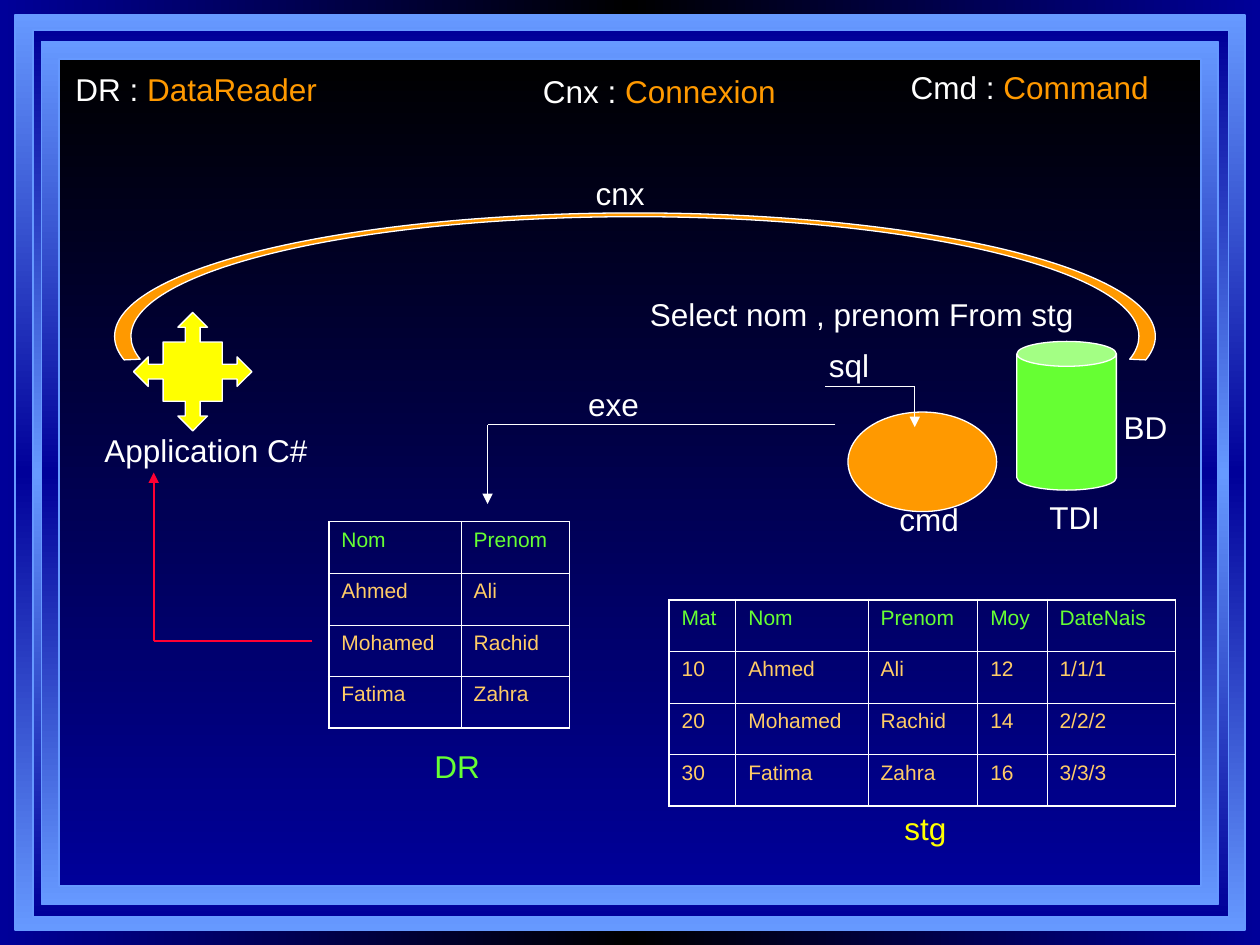
import math
from dataclasses import dataclass
from typing import NamedTuple

from lxml import etree
from pptx import Presentation
from pptx.dml.color import RGBColor
from pptx.enum import shapes, text
from pptx.oxml import ns
from pptx.util import Inches, Pt


@dataclass(frozen=True)
class Theme:
    font: str = "Arial"
    label_size: float = 18
    cell_size: float = 12
    outline: float = 0.75
    grid_inner: float = 0.45
    grid_outer: float = 1.08
    white: str = "FFFFFF"
    black: str = "000000"
    navy: str = "000099"
    sky: str = "6699FF"
    orange: str = "FF9900"
    sand: str = "FFCC66"
    green: str = "66FF33"
    yellow: str = "FFFF00"
    red: str = "FF0033"


T = Theme()


class Box(NamedTuple):
    left: float
    top: float
    width: float
    height: float


class Point(NamedTuple):
    x: float
    y: float


class Label(NamedTuple):
    words: str
    left: float
    top: float
    width: float
    color: str = T.white
    accent: str = ""


class Elbow(NamedTuple):
    start: Point
    corner: Point
    tip: Point
    color: str = T.white
    weight: float = T.outline


class Grid(NamedTuple):
    left: float
    top: float
    widths: list[float]
    rows: list[list[str]]


ROW_HEIGHT = 0.41
FRAMES = [
    (Box(0.12, 0.12, 9.76, 7.26), [T.sky, T.navy, T.sky]),
    (Box(0.26, 0.24, 9.49, 7.04), [T.navy, T.sky, T.navy]),
    (Box(0.33, 0.33, 9.34, 6.85), [T.sky, T.navy, T.sky]),
    (Box(0.47, 0.47, 9.06, 6.56), [T.black, T.navy]),
]
LABELS = [
    Label("DR : ", 0.5, 0.51, 2.18, accent="DataReader"),
    Label("Cnx : ", 4.21, 0.52, 2.12, accent="Connexion"),
    Label("Cmd : ", 7.13, 0.49, 2.16, accent="Command"),
    Label("cnx", 4.63, 1.33, 0.66),
    Label("Select nom , prenom From stg", 5.06, 2.29, 3.56),
    Label("sql", 6.48, 2.7, 0.52),
    Label("exe", 4.57, 3.01, 0.67),
    Label("BD", 8.82, 3.19, 0.61),
    Label("Application C#", 0.73, 3.37, 1.88),
    Label("TDI", 8.23, 3.9, 0.67),
    Label("cmd", 7.04, 3.92, 0.67),
    Label("DR", 3.35, 5.88, 0.56, T.green),
    Label("stg", 7.08, 6.37, 0.55, T.yellow),
]
ELBOWS = [
    Elbow(Point(6.55, 3.07), Point(7.26, 3.07), Point(7.26, 3.39)),
    Elbow(Point(6.63, 3.37), Point(3.87, 3.37), Point(3.87, 4)),
    Elbow(Point(2.48, 5.09), Point(1.22, 5.09), Point(1.22, 3.75), T.red, 1),
]
GRIDS = [
    Grid(2.61, 4.14, [1.05, 0.86],
         [["Nom", "Prenom"], ["Ahmed", "Ali"],
          ["Mohamed", "Rachid"], ["Fatima", "Zahra"]]),
    Grid(5.31, 4.76, [0.53, 1.05, 0.87, 0.55, 1.02],
         [["Mat", "Nom", "Prenom", "Moy", "DateNais"],
          ["10", "Ahmed", "Ali", "12", "1/1/1"],
          ["20", "Mohamed", "Rachid", "14", "2/2/2"],
          ["30", "Fatima", "Zahra", "16", "3/3/3"]]),
]


def rgb(color: str) -> RGBColor:
    return RGBColor.from_string(color)


def set_gradient(fill, owner, colors: list[str], angle: float) -> None:
    """Spread the colors evenly along a linear gradient."""
    fill.gradient()
    fill.gradient_angle = angle
    stops = owner.find(".//" + ns.qn("a:gsLst"))
    for old in list(stops):
        stops.remove(old)
    for i, color in enumerate(colors):
        stop = etree.SubElement(stops, ns.qn("a:gs"), pos=str(100000 * i // (len(colors) - 1)))
        etree.SubElement(stop, ns.qn("a:srgbClr"), val=color)


def set_line(line, color: str, weight: float) -> None:
    line.color.rgb = rgb(color)
    line.width = Pt(weight)


def style_shape(sp, fill: str) -> None:
    sp.shadow.inherit = False
    sp.fill.solid()
    sp.fill.fore_color.rgb = rgb(fill)
    set_line(sp.line, T.white, T.outline)


def set_font(font, size: float, color: str) -> None:
    font.name = T.font
    font.size = Pt(size)
    font.color.rgb = rgb(color)


def add_frame(s, box: Box, colors: list[str]) -> None:
    sp = s.shapes.add_shape(shapes.MSO_SHAPE.RECTANGLE, *map(Inches, box))
    sp.shadow.inherit = False
    set_gradient(sp.fill, sp.element, colors, 270)
    set_line(sp.line, T.sky, 1)


def add_preset(s, kind, box: Box, fill: str, adjustments: tuple[float, ...] = ()) -> None:
    sp = s.shapes.add_shape(kind, *map(Inches, box))
    for i, value in enumerate(adjustments):
        sp.adjustments[i] = value
    style_shape(sp, fill)


def ellipse_curve(center: Point, radius: Point, angles: list[int]) -> list[tuple[int, int]]:
    """Give the start, then two handles and an end for each step between angles."""
    def at(a: float, pull: float = 0) -> tuple[int, int]:
        return (Inches(center.x + radius.x * (math.cos(a) - pull * math.sin(a))),
                Inches(center.y - radius.y * (math.sin(a) + pull * math.cos(a))))

    turns = [math.radians(d) for d in angles]
    points = [at(turns[0])]
    for a, b in zip(turns, turns[1:]):
        pull = 4 / 3 * math.tan((b - a) / 4)
        points += [at(a, pull), at(b, -pull), at(b)]
    return points


def add_connection_arc(s, center: Point, outer: Point, inner: Point, dip: int) -> None:
    """Draw a band between two ellipses, its ends dip degrees below the center."""
    angles = [-dip, 0, 90, 180, 180 + dip]
    outside = ellipse_curve(center, outer, angles)
    inside = ellipse_curve(center, inner, angles[::-1])
    builder = s.shapes.build_freeform(*outside[0])
    builder.add_line_segments(outside[1:] + inside, close=True)
    sp = builder.convert_to_shape()

    # Turn each run of three points into one curve, keeping the line between the bands
    outline = sp.element.find(".//" + ns.qn("a:path"))
    steps = outline.findall(ns.qn("a:lnTo"))
    n = len(outside) - 1
    for run in (steps[:n], steps[n + 1:]):
        for first, second, end in zip(run[::3], run[1::3], run[2::3]):
            curve = etree.Element(ns.qn("a:cubicBezTo"))
            first.addprevious(curve)
            for step in (first, second, end):
                curve.append(step[0])
                outline.remove(step)

    # The box spans the whole outer ellipse
    sp.height = Inches(2 * outer.y)
    outline.set("h", str(sp.height))
    style_shape(sp, T.orange)


def add_label(s, label: Label) -> None:
    box = Box(label.left, label.top, label.width, 0.4)
    tf = s.shapes.add_textbox(*map(Inches, box)).text_frame
    tf.word_wrap = False
    tf.auto_size = text.MSO_AUTO_SIZE.SHAPE_TO_FIT_TEXT
    p = tf.paragraphs[0]
    set_font(p.font, T.label_size, label.color)
    p.add_run().text = label.words
    if label.accent:
        r = p.add_run()
        r.text = label.accent
        r.font.color.rgb = rgb(T.orange)


def add_elbow(s, elbow: Elbow) -> None:
    for start, end in ((elbow.start, elbow.corner), (elbow.corner, elbow.tip)):
        cn = s.shapes.add_connector(shapes.MSO_CONNECTOR.STRAIGHT, *map(Inches, start + end))
        set_line(cn.line, elbow.color, elbow.weight)
        etree.SubElement(cn.element.spPr, ns.qn("a:effectLst"))
    etree.SubElement(cn.line._get_or_add_ln(), ns.qn("a:tailEnd"), type="triangle")


def set_borders(cell, outer_sides: dict[str, bool]) -> None:
    tc_pr = cell._tc.get_or_add_tcPr()
    for i, (side, is_outer) in enumerate(outer_sides.items()):
        weight = Pt(T.grid_outer if is_outer else T.grid_inner)
        ln = etree.Element(ns.qn(f"a:ln{side}"), w=str(weight))
        solid = etree.SubElement(ln, ns.qn("a:solidFill"))
        etree.SubElement(solid, ns.qn("a:srgbClr"), val=T.white)
        tc_pr.insert(i, ln)


def add_grid(s, grid: Grid) -> None:
    n_rows, n_cols = len(grid.rows), len(grid.widths)
    box = Box(grid.left, grid.top, sum(grid.widths), ROW_HEIGHT * n_rows)
    table = s.shapes.add_table(n_rows, n_cols, *map(Inches, box)).table
    table.first_row = table.horz_banding = False
    for column, width in zip(table.columns, grid.widths):
        column.width = Inches(width)
    for i, row in enumerate(grid.rows):
        table.rows[i].height = Inches(ROW_HEIGHT)
        for j, words in enumerate(row):
            cell = table.cell(i, j)
            cell.fill.background()
            set_borders(cell, {"L": j == 0, "R": j == n_cols - 1,
                               "T": i == 0, "B": i == n_rows - 1})
            p = cell.text_frame.paragraphs[0]
            set_font(p.font, T.cell_size, T.sand if i else T.green)
            p.add_run().text = words


def main() -> None:
    prs = Presentation()
    prs.slide_width, prs.slide_height = Inches(10), Inches(7.5)
    s = prs.slides.add_slide(prs.slide_layouts[6])

    # Background and nested frames
    set_gradient(s.background.fill, s.element, [T.navy, T.black, T.navy], 0)
    for box, colors in FRAMES:
        add_frame(s, box, colors)

    # Database, application, connection and command
    kinds = shapes.MSO_SHAPE
    add_preset(s, kinds.CAN, Box(8.07, 2.71, 0.79, 1.18), T.green, (0.25,))
    add_preset(s, kinds.QUAD_ARROW_CALLOUT, Box(1.06, 2.48, 0.94, 0.94), T.yellow,
               (0.125, 0.125, 0.125, 0.5))
    add_connection_arc(s, Point(5.04, 2.67), Point(4.13, 0.98), Point(4, 0.95), 11)
    add_preset(s, kinds.OVAL, Box(6.73, 3.27, 1.18, 0.79), T.orange)

    # Arrows, tables and labels
    for elbow in ELBOWS:
        add_elbow(s, elbow)
    for grid in GRIDS:
        add_grid(s, grid)
    for label in LABELS:
        add_label(s, label)

    prs.save("out.pptx")


if __name__ == "__main__":
    main()
